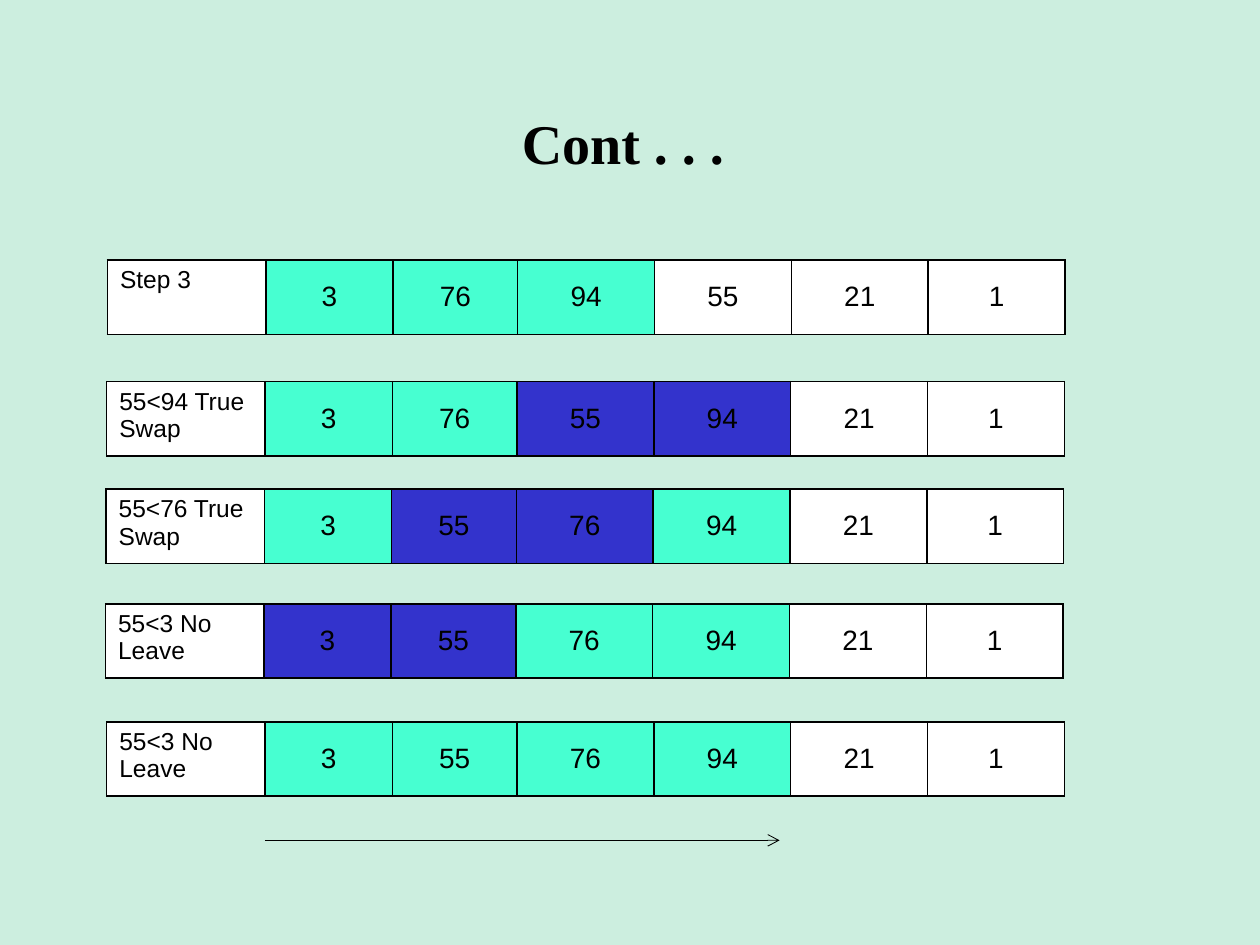
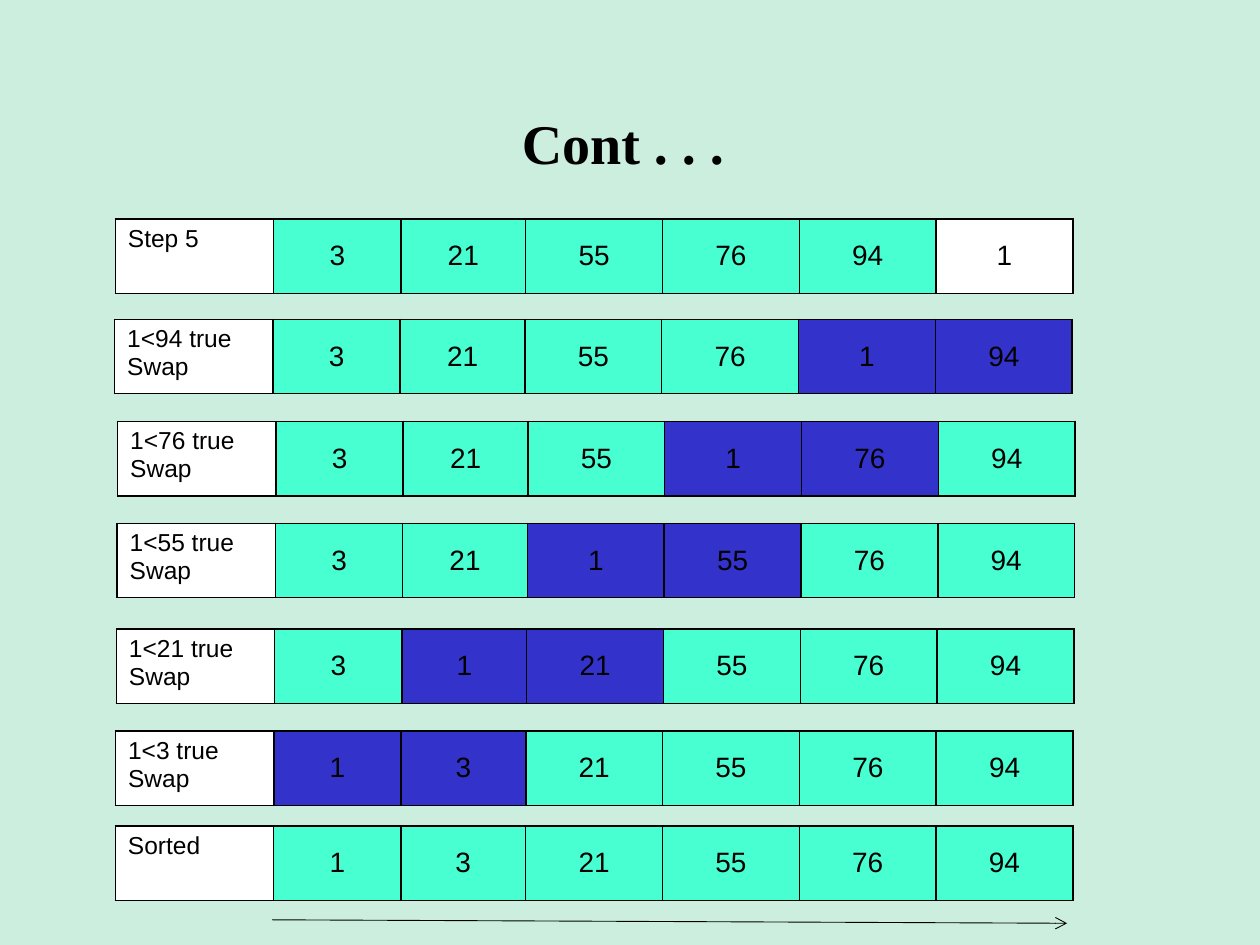
import dataclasses

import pptx
import pptx.dml.color
import pptx.enum.shapes
import pptx.enum.text
import pptx.oxml.ns
import pptx.util
from lxml import etree

Pt = pptx.util.Pt
ALIGN = pptx.enum.text.PP_ALIGN
ANCHOR = pptx.enum.text.MSO_ANCHOR


@dataclasses.dataclass(frozen=True)
class Theme:
    background: str = "CCEEDF"
    ink: str = "000000"
    unsorted: str = "FFFFFF"
    sorted: str = "47FFD1"
    compared: str = "3333CC"
    title_font: str = "Times New Roman"
    body_font: str = "Arial"
    title_size: float = 32
    label_size: float = 14
    value_size: float = 16
    border: float = 1
    arrow: float = 0.5
    columns: tuple = (90.5, 72.7, 71.3, 78.2, 78.2, 78.2, 78.2)
    row_height: float = 42.5


def colour(code):
    return pptx.dml.color.RGBColor.from_string(code)


def add_element(parent, tag, **attributes):
    return etree.SubElement(parent, pptx.oxml.ns.qn(tag), attributes)


class SortDeck:
    def __init__(self, theme):
        self.theme = theme
        self.deck = pptx.Presentation()
        self.deck.slide_width = Pt(720)
        self.deck.slide_height = Pt(540)
        self.page = None

    def add_page(self, title):
        self.page = self.deck.slides.add_slide(self.deck.slide_layouts[6])
        fill = self.page.background.fill
        fill.solid()
        fill.fore_color.rgb = colour(self.theme.background)
        self.add_title(title)

    def add_lines(self, frame, lines, size, font, align, bold=False):
        for index, line in enumerate(lines):
            para = frame.add_paragraph() if index else frame.paragraphs[0]
            para.alignment = align
            span = para.add_run()
            span.text = line
            span.font.name = font
            span.font.size = Pt(size)
            span.font.bold = bold
            span.font.color.rgb = colour(self.theme.ink)

    def add_title(self, title):
        box = self.page.shapes.add_textbox(Pt(49.7), Pt(28.8), Pt(620.6), Pt(104.4))
        frame = box.text_frame
        frame.word_wrap = True
        frame.vertical_anchor = ANCHOR.MIDDLE
        self.add_lines(frame, [title], self.theme.title_size, self.theme.title_font,
                       ALIGN.CENTER, bold=True)

    def style_cell(self, cell, fill):
        properties = cell._tc.get_or_add_tcPr()
        for side in "LRTB":
            line = add_element(properties, f"a:ln{side}", w=str(Pt(self.theme.border)))
            solid = add_element(line, "a:solidFill")
            add_element(solid, "a:srgbClr", val=self.theme.ink)
        cell.fill.solid()
        cell.fill.fore_color.rgb = colour(fill)

    def value_fill(self, position, sorted_count, pair_start):
        if pair_start is not None and position - pair_start in (0, 1):
            return self.theme.compared
        return self.theme.sorted if position < sorted_count else self.theme.unsorted

    def add_array(self, left, top, label, values, sorted_count, pair_start=None):
        theme = self.theme
        table = self.page.shapes.add_table(
            1, len(theme.columns), Pt(left), Pt(top),
            Pt(sum(theme.columns)), Pt(theme.row_height)).table
        table.first_row = False
        table.horz_banding = False
        table.rows[0].height = Pt(theme.row_height)
        for column, width in zip(table.columns, theme.columns):
            column.width = Pt(width)
        label_cell = table.cell(0, 0)
        self.style_cell(label_cell, theme.unsorted)
        self.add_lines(label_cell.text_frame, label, theme.label_size, theme.body_font,
                       ALIGN.LEFT)
        for position, value in enumerate(values):
            cell = table.cell(0, position + 1)
            self.style_cell(cell, self.value_fill(position, sorted_count, pair_start))
            cell.vertical_anchor = ANCHOR.MIDDLE
            self.add_lines(cell.text_frame, [str(value)], theme.value_size, theme.body_font,
                           ALIGN.CENTER)

    def add_arrow(self, start, end):
        arrow = self.page.shapes.add_connector(
            pptx.enum.shapes.MSO_CONNECTOR.STRAIGHT, *map(Pt, start + end))
        arrow.line.width = Pt(self.theme.arrow)
        arrow.line.color.rgb = colour(self.theme.ink)
        add_element(arrow.line._get_or_add_ln(), "a:tailEnd", type="arrow")
        add_element(arrow._element.spPr, "a:effectLst")


STEP_THREE = [
    (61.4, 148.5, ["Step 3"], [3, 76, 94, 55, 21, 1], 3),
    (61, 218, ["55<94 True", "Swap"], [3, 76, 55, 94, 21, 1], 4, 2),
    (60.6, 279.4, ["55<76 True", "Swap"], [3, 55, 76, 94, 21, 1], 4, 1),
    (60.3, 345, ["55<3 No", "Leave"], [3, 55, 76, 94, 21, 1], 4, 0),
    (61, 412.5, ["55<3 No", "Leave"], [3, 55, 76, 94, 21, 1], 4),
]
STEP_FIVE = [
    (65.9, 125.2, ["Step 5"], [3, 21, 55, 76, 94, 1], 5),
    (65.5, 182.5, ["1<94 true", "Swap"], [3, 21, 55, 76, 1, 94], 6, 4),
    (67.2, 240.8, ["1<76 true", "Swap"], [3, 21, 55, 1, 76, 94], 6, 3),
    (66.9, 299, ["1<55 true", "Swap"], [3, 21, 1, 55, 76, 94], 6, 2),
    (66.5, 359.4, ["1<21 true", "Swap"], [3, 1, 21, 55, 76, 94], 6, 1),
    (66, 417.7, ["1<3 true", "Swap"], [1, 3, 21, 55, 76, 94], 6, 0),
    (65.9, 472, ["Sorted"], [1, 3, 21, 55, 76, 94], 6),
]
PAGES = [
    (STEP_THREE, (151.4, 480.2), (445.5, 480.2)),
    (STEP_FIVE, (155.5, 525.6), (609.8, 527.6)),
]


def main():
    builder = SortDeck(Theme())
    for arrays, arrow_start, arrow_end in PAGES:
        builder.add_page("Cont . . . ")
        for array in arrays:
            builder.add_array(*array)
        builder.add_arrow(arrow_start, arrow_end)
    builder.deck.save("out.pptx")


if __name__ == "__main__":
    main()
